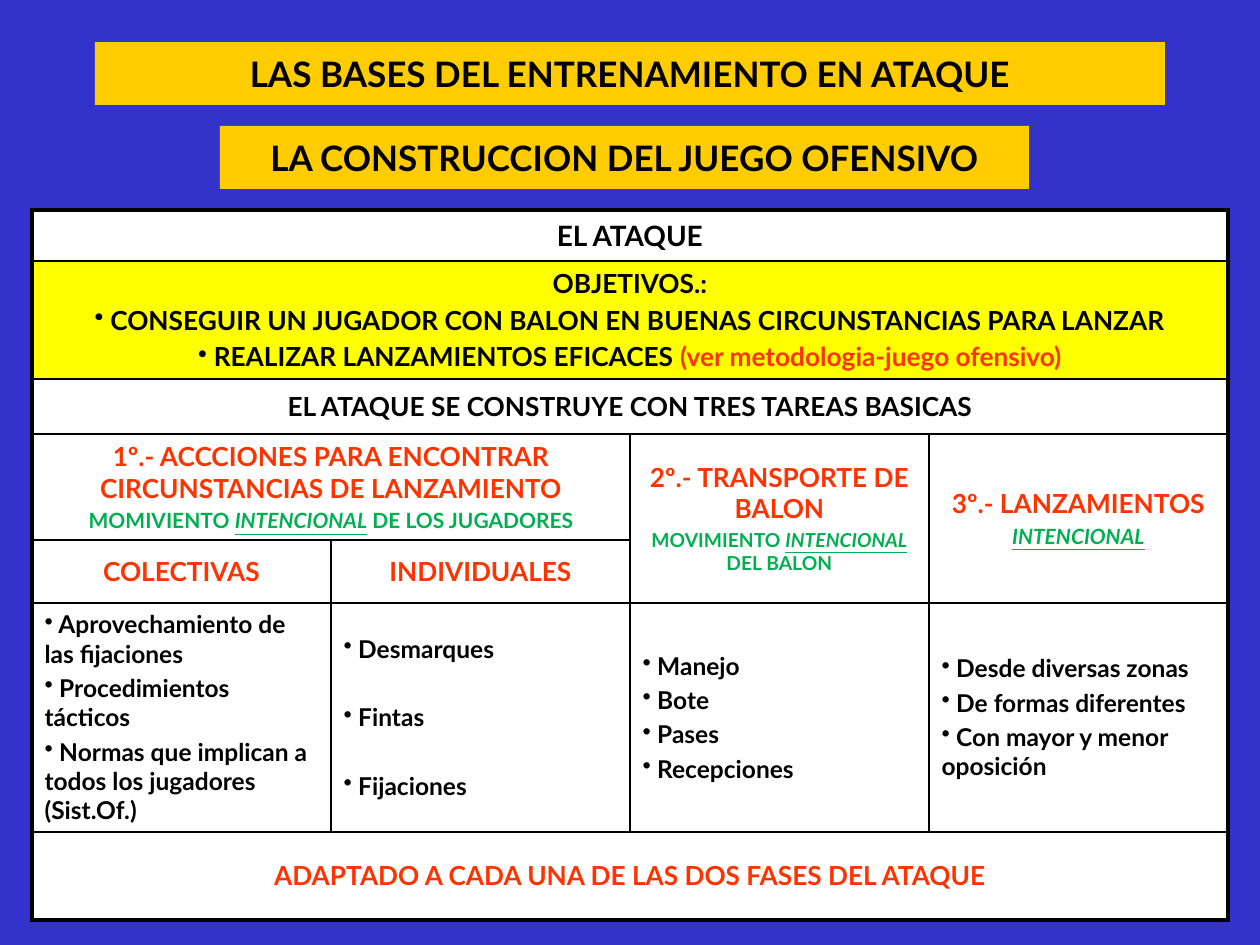
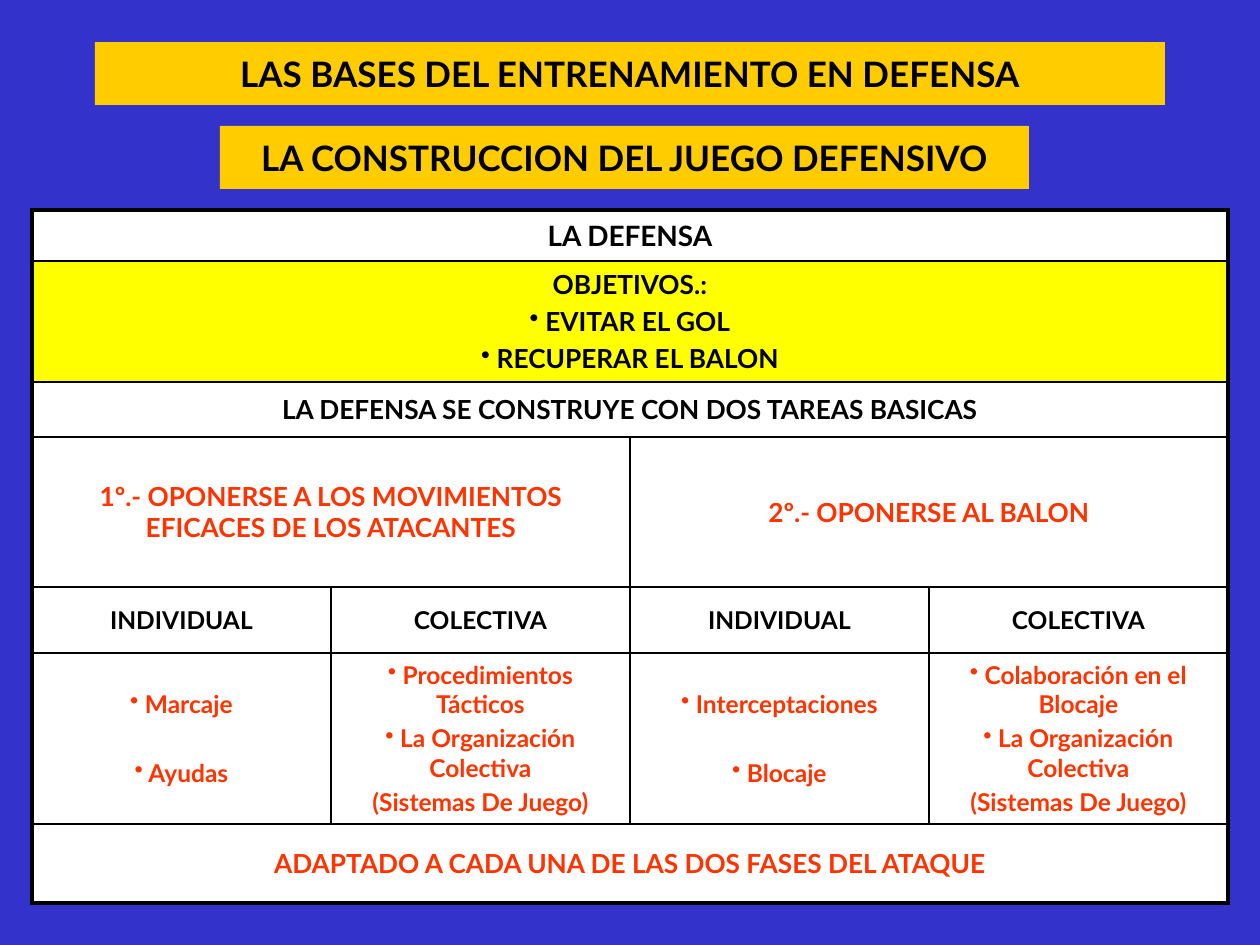
from dataclasses import dataclass, field

from lxml import etree
from pptx import Presentation
from pptx.dml.color import RGBColor
from pptx.enum.shapes import MSO_SHAPE
from pptx.enum.text import MSO_ANCHOR, MSO_AUTO_SIZE, PP_ALIGN
from pptx.oxml.ns import qn
from pptx.util import Emu, Pt

RECTANGLE = MSO_SHAPE.RECTANGLE
MIDDLE = MSO_ANCHOR.MIDDLE
NO_FIT = MSO_AUTO_SIZE.NONE
CENTER = PP_ALIGN.CENTER
LEFT = PP_ALIGN.LEFT

PX_PER_INCH = 126
SLIDE_SIZE = (1260, 945)
TITLE_BAND = (95, 42, 1070, 63)
SUBTITLE_BAND = (220, 126, 809, 63)
TABLE_LEFT, TABLE_TOP = 32, 210
COLUMN_COUNT, COLUMN_WIDTH = 4, 299


@dataclass(frozen=True)
class Theme:
    font: str = "Lato"
    background: str = "3333CC"
    band: str = "FFCC00"
    paper: str = "FFFFFF"
    highlight: str = "FFFF00"
    ink: str = "000000"
    accent: str = "FF3300"
    note: str = "00B050"
    band_size: int = 20
    head_size: int = 16
    task_size: int = 15
    item_size: int = 14
    note_size: int = 12
    small_size: int = 11
    outer_line: float = 2.25
    inner_line: float = 1


THEME = Theme()
BAND = dict(size=THEME.band_size, color=THEME.ink)
HEAD = dict(size=THEME.head_size, color=THEME.ink)
PLAIN = dict(size=THEME.task_size, color=THEME.ink)
TASK = dict(size=THEME.task_size, color=THEME.accent)
ITEM = dict(size=THEME.item_size, color=THEME.ink)
RED_ITEM = dict(size=THEME.item_size, color=THEME.accent)
NOTE = dict(size=THEME.note_size, color=THEME.note)
SMALL_NOTE = dict(size=THEME.small_size, color=THEME.note)


@dataclass
class Line:
    spans: list
    bullet: bool = False
    align: PP_ALIGN = CENTER
    apart: bool = False


@dataclass
class Block:
    row: int
    column: int
    lines: list
    row_span: int = 1
    column_span: int = 1
    fill: str = THEME.paper


@dataclass
class Topic:
    title: str
    subtitle: str
    head: str
    goals: list
    summary: str
    row_heights: list
    blocks: list = field(default_factory=list)


def px(length):
    return Emu(round(length * 914400 / PX_PER_INCH))


def text_line(text, style):
    return Line([(text, style)])


def bullets(texts, style, align=CENTER, apart=False):
    return [
        Line([(text, style)], True, align, apart and index > 0)
        for index, text in enumerate(texts)
    ]


def intentional(style, before="", after=""):
    stressed = dict(style, italic=True, underline=True)
    spans = [(before, style), ("INTENCIONAL", stressed), (after, style)]
    return Line([span for span in spans if span[0]])


def paint(fill, color):
    fill.solid()
    fill.fore_color.rgb = RGBColor.from_string(color)


def add_span(para, text, style):
    span = para.add_run()
    span.text = text
    values = dict(style, name=THEME.font, bold=True, size=Pt(style["size"]))
    span.font.color.rgb = RGBColor.from_string(values.pop("color"))
    for name, value in values.items():
        setattr(span.font, name, value)


def add_bullet(para):
    properties = para._p.get_or_add_pPr()
    for name in ("marL", "indent"):
        properties.set(name, "0")
    etree.SubElement(properties, qn("a:buChar"), char="•")


def write_lines(frame, lines):
    for index, line in enumerate(lines):
        para = frame.add_paragraph() if index else frame.paragraphs[0]
        size = line.spans[0][1]["size"]
        para.alignment = line.align
        para.space_before = Pt(size * (1.6 if line.apart else 0.2))
        if line.bullet:
            add_bullet(para)
        for position, (text, style) in enumerate(line.spans):
            lead = " " if line.bullet and position == 0 else ""
            add_span(para, lead + text, style)


def format_band(box, place, text):
    for name, value in zip(("left", "top", "width", "height"), place):
        setattr(box, name, px(value))
    paint(box.fill, THEME.band)
    box.line.fill.background()
    frame = box.text_frame
    settings = dict(word_wrap=True, auto_size=NO_FIT, vertical_anchor=MIDDLE)
    for name, value in settings.items():
        setattr(frame, name, value)
    para = frame.paragraphs[0]
    para.alignment = CENTER
    add_span(para, text, BAND)


def add_bands(page, topic):
    format_band(page.shapes.title, TITLE_BAND, topic.title)
    box = page.shapes.add_shape(RECTANGLE, *map(px, SUBTITLE_BAND))
    box.shadow.inherit = False
    format_band(box, SUBTITLE_BAND, topic.subtitle)


def add_borders(cell, block, row_count):
    on_edge = {
        "lnL": block.column == 0,
        "lnR": block.column + block.column_span == COLUMN_COUNT,
        "lnT": block.row == 0,
        "lnB": block.row + block.row_span == row_count,
    }
    properties = cell._tc.get_or_add_tcPr()
    for index, (side, outer) in enumerate(on_edge.items()):
        width = Pt(THEME.outer_line if outer else THEME.inner_line)
        border = etree.Element(qn(f"a:{side}"), w=str(int(width)))
        fill = etree.SubElement(border, qn("a:solidFill"))
        etree.SubElement(fill, qn("a:srgbClr"), val=THEME.ink)
        properties.insert(index, border)


def fill_block(table, block):
    cell = table.cell(block.row, block.column)
    if block.row_span * block.column_span > 1:
        last_row = block.row + block.row_span - 1
        last_column = block.column + block.column_span - 1
        cell.merge(table.cell(last_row, last_column))
    cell.vertical_anchor = MIDDLE
    paint(cell.fill, block.fill)
    add_borders(cell, block, len(table.rows))
    write_lines(cell.text_frame, block.lines)


def full_row(row, lines, fill=THEME.paper):
    return Block(row, 0, lines, column_span=COLUMN_COUNT, fill=fill)


def add_task_table(page, topic):
    heights = topic.row_heights
    frame = page.shapes.add_table(
        len(heights), COLUMN_COUNT, px(TABLE_LEFT), px(TABLE_TOP),
        px(COLUMN_WIDTH * COLUMN_COUNT), px(sum(heights)),
    )
    table = frame.table
    for name in ("first_row", "horz_banding"):
        setattr(table, name, False)
    for column in table.columns:
        column.width = px(COLUMN_WIDTH)
    for row, height in zip(table.rows, heights):
        row.height = px(height)
    closing = "ADAPTADO A CADA UNA DE LAS DOS FASES DEL ATAQUE"
    shared = [
        full_row(0, [text_line(topic.head, HEAD)]),
        full_row(1, [text_line("OBJETIVOS.:", PLAIN)] + topic.goals, THEME.highlight),
        full_row(2, [text_line(topic.summary, PLAIN)]),
        full_row(len(heights) - 1, [text_line(closing, TASK)]),
    ]
    for block in shared + topic.blocks:
        fill_block(table, block)


def attack_topic():
    goals = bullets([
        "CONSEGUIR UN JUGADOR CON BALON EN BUENAS CIRCUNSTANCIAS PARA LANZAR",
        "REALIZAR LANZAMIENTOS EFICACES ",
    ], PLAIN)
    goals[1].spans.append(("(ver metodologia-juego ofensivo)", TASK))
    search = [
        text_line("1º.- ACCCIONES PARA ENCONTRAR CIRCUNSTANCIAS DE LANZAMIENTO", TASK),
        intentional(NOTE, "MOMIVIENTO ", " DE LOS JUGADORES"),
    ]
    transport = [
        text_line("2º.- TRANSPORTE DE BALON", TASK),
        intentional(SMALL_NOTE, "MOVIMIENTO ", " DEL BALON"),
    ]
    throws = [text_line("3º.- LANZAMIENTOS", TASK), intentional(NOTE)]
    details = [
        ["Aprovechamiento de las fijaciones", "Procedimientos tácticos",
         "Normas que implican a todos los jugadores (Sist.Of.)"],
        ["Desmarques", "Fintas", "Fijaciones"],
        ["Manejo", "Bote", "Pases", "Recepciones"],
        ["Desde diversas zonas", "De formas diferentes",
         "Con mayor y menor oposición"],
    ]
    blocks = [
        Block(3, 0, search, column_span=2),
        Block(3, 2, transport, row_span=2),
        Block(3, 3, throws, row_span=2),
        Block(4, 0, [text_line("COLECTIVAS", TASK)]),
        Block(4, 1, [text_line("INDIVIDUALES", TASK)]),
    ]
    for column, texts in enumerate(details):
        blocks.append(Block(5, column, bullets(texts, ITEM, LEFT, column == 1)))
    return Topic(
        "LAS BASES DEL ENTRENAMIENTO EN ATAQUE",
        "LA CONSTRUCCION DEL JUEGO OFENSIVO",
        "EL ATAQUE", goals, "EL ATAQUE SE CONSTRUYE CON TRES TAREAS BASICAS",
        [51, 118, 55, 106, 63, 229, 88], blocks,
    )


def defence_topic():
    tasks = [
        "1º.- OPONERSE A LOS MOVIMIENTOS EFICACES DE LOS ATACANTES",
        "2º.- OPONERSE AL BALON",
    ]
    details = [
        ["Marcaje", "Ayudas"],
        ["Procedimientos Tácticos", "La Organización Colectiva"],
        ["Interceptaciones", "Blocaje"],
        ["Colaboración en el Blocaje", "La Organización Colectiva"],
    ]
    blocks = [
        Block(3, index * 2, [text_line(task, TASK)], column_span=2)
        for index, task in enumerate(tasks)
    ]
    for column, texts in enumerate(details):
        collective = column % 2 == 1
        heading = "COLECTIVA" if collective else "INDIVIDUAL"
        lines = bullets(texts, RED_ITEM, apart=not collective)
        if collective:
            lines.append(text_line("(Sistemas De Juego)", RED_ITEM))
        blocks.append(Block(4, column, [text_line(heading, ITEM)]))
        blocks.append(Block(5, column, lines))
    return Topic(
        "LAS BASES DEL ENTRENAMIENTO EN DEFENSA",
        "LA CONSTRUCCION DEL JUEGO DEFENSIVO",
        "LA DEFENSA", bullets(["EVITAR EL GOL", "RECUPERAR EL BALON"], PLAIN),
        "LA DEFENSA SE CONSTRUYE CON DOS TAREAS BASICAS",
        [51, 121, 55, 150, 66, 171, 79], blocks,
    )


def main():
    deck = Presentation()
    deck.slide_width, deck.slide_height = map(px, SLIDE_SIZE)
    paint(deck.slide_master.background.fill, THEME.background)
    layout = deck.slide_layouts.get_by_name("Title Only")
    for topic in (attack_topic(), defence_topic()):
        page = deck.slides.add_slide(layout)
        add_bands(page, topic)
        add_task_table(page, topic)
    deck.save("out.pptx")


if __name__ == "__main__":
    main()
